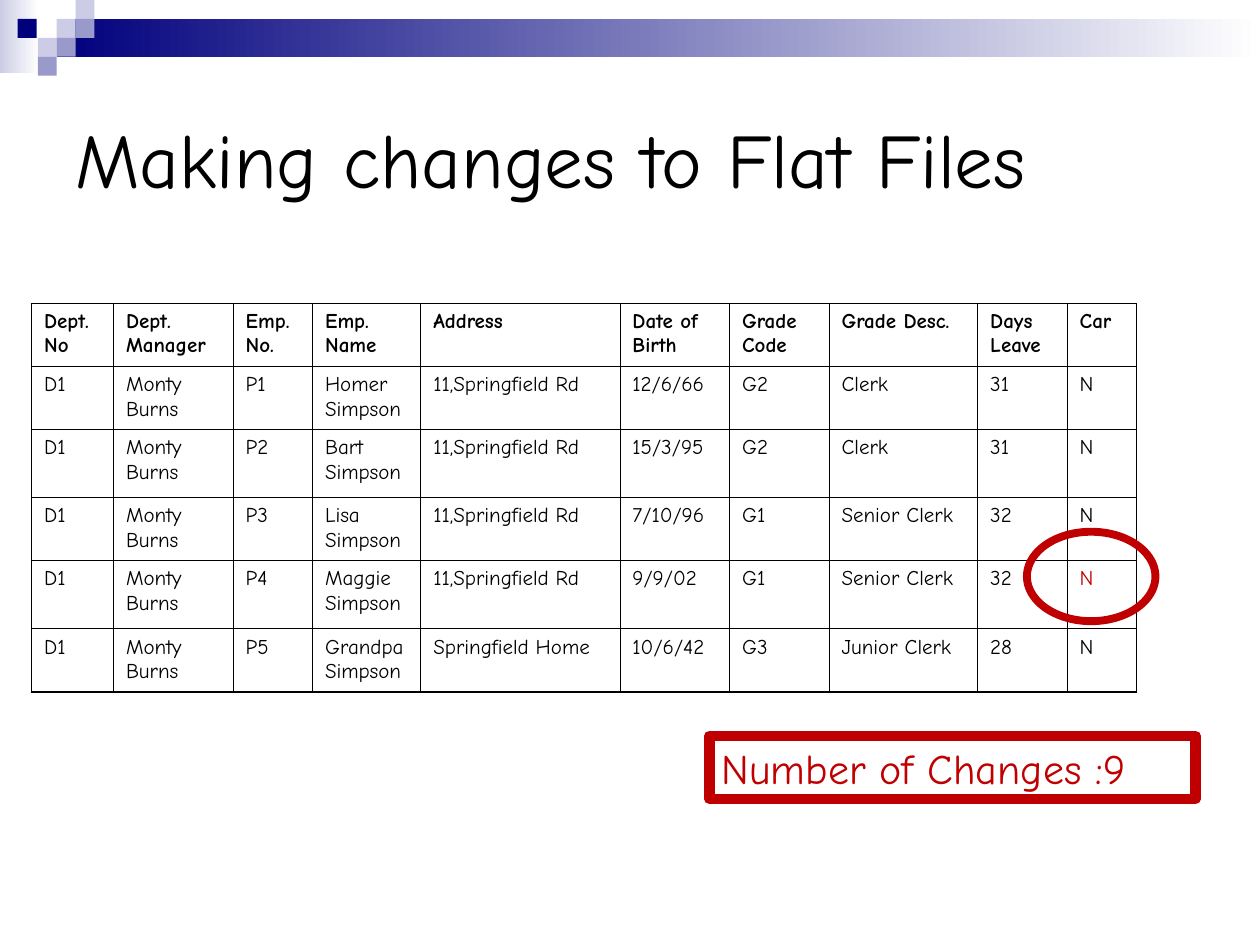
import pptx
import pptx.dml.color
import pptx.enum.shapes
import pptx.enum.text
import pptx.oxml.ns
import pptx.util
from lxml import etree

Inches = pptx.util.Inches
SHAPE = pptx.enum.shapes.MSO_SHAPE
FONT = "Comic Neue"
COLORS = {
    "black": "000000",
    "white": "FFFFFF",
    "navy": "00007D",
    "lavender": "9999CC",
    "pale": "CCCCE6",
    "red": "C00000",
}
UNIT = 0.15  # side of one decorative square

HEADERS = ["Dept.No", "Dept. Manager", "Emp. No.", "Emp. Name", "Address",
           "Date of Birth", "Grade Code", "Grade Desc.", "Days Leave", "Car"]
EMPLOYEES = [
    ["P1", "Homer Simpson", "11,Springfield Rd", "12/6/66", "G2", "Clerk", "31"],
    ["P2", "Bart Simpson", "11,Springfield Rd", "15/3/95", "G2", "Clerk", "31"],
    ["P3", "Lisa Simpson", "11,Springfield Rd", "7/10/96", "G1", "Senior Clerk", "32"],
    ["P4", "Maggie Simpson", "11,Springfield Rd", "9/9/02", "G1", "Senior Clerk", "32"],
    ["P5", "Grandpa Simpson", "Springfield Home", "10/6/42", "G3", "Junior Clerk", "28"],
]
COL_WIDTHS = [0.65, 0.95, 0.63, 0.86, 1.58, 0.87, 0.79, 1.18, 0.71, 0.55]
ROW_HEIGHTS = [0.5, 0.5, 0.54, 0.5, 0.54, 0.5]
CHANGED_CELL = (4, 9)


def rgb(name):
    return pptx.dml.color.RGBColor.from_string(COLORS[name])


def write(tf, text, size, color="black", bold=False):
    p = tf.paragraphs[0]
    p.text = text
    p.alignment = pptx.enum.text.PP_ALIGN.LEFT
    for r in p.runs:
        r.font.name = FONT
        r.font.size = pptx.util.Pt(size)
        r.font.bold = bold
        r.font.color.rgb = rgb(color)


def add_block(s, x, y, w, h, color, fade=False):
    sp = s.shapes.add_shape(SHAPE.RECTANGLE, Inches(x), Inches(y), Inches(w), Inches(h))
    sp.shadow.inherit = False
    sp.line.fill.background()
    if fade:
        sp.fill.gradient()
        sp.fill.gradient_angle = 0
        for stop, name in zip(sp.fill.gradient_stops, (color, "white")):
            stop.color.rgb = rgb(name)
    else:
        sp.fill.solid()
        sp.fill.fore_color.rgb = rgb(color)


def add_outline(s, kind, x, y, w, h, width):
    sp = s.shapes.add_shape(kind, Inches(x), Inches(y), Inches(w), Inches(h))
    sp.shadow.inherit = False
    sp.fill.background()
    sp.line.color.rgb = rgb("red")
    sp.line.width = pptx.util.Pt(width)
    return sp


def add_title(s, text):
    tf = s.shapes.add_textbox(Inches(0.5), Inches(0.5), Inches(9), Inches(1.5)).text_frame
    tf.word_wrap = True
    tf.vertical_anchor = pptx.enum.text.MSO_ANCHOR.MIDDLE
    write(tf, text, 44)


def set_border(cell, side, width):
    qn = pptx.oxml.ns.qn
    ln = etree.SubElement(cell._tc.get_or_add_tcPr(), qn("a:ln" + side),
                          w=str(pptx.util.Pt(width)))
    fill = etree.SubElement(ln, qn("a:solidFill"))
    etree.SubElement(fill, qn("a:srgbClr"), val=COLORS["black"])


def add_staff_table(s, x, y):
    rows = [HEADERS] + [["D1", "Monty Burns"] + e + ["N"] for e in EMPLOYEES]
    last_row, last_col = len(rows) - 1, len(HEADERS) - 1
    table = s.shapes.add_table(len(rows), len(HEADERS), Inches(x), Inches(y),
                               Inches(sum(COL_WIDTHS)), Inches(sum(ROW_HEIGHTS))).table
    table.first_row = table.horz_banding = False
    for column, width in zip(table.columns, COL_WIDTHS):
        column.width = Inches(width)
    for row, height in zip(table.rows, ROW_HEIGHTS):
        row.height = Inches(height)
    for i, values in enumerate(rows):
        for j, value in enumerate(values):
            cell = table.cell(i, j)
            color = "red" if (i, j) == CHANGED_CELL else "black"
            write(cell.text_frame, value, 12, color, bold=i == 0)
            # The outer frame is heavier than the inner grid
            outer = {"L": j == 0, "R": j == last_col, "T": i == 0, "B": i == last_row}
            for side, is_outer in outer.items():
                set_border(cell, side, 1.08 if is_outer else 0.45)
            cell.fill.background()


def add_banner(s):
    add_block(s, 0, 0, 0.31, 0.58, "pale", fade=True)
    add_block(s, 0.45, UNIT, 9.55, 2 * UNIT, "navy", fade=True)
    # Squares as (column, row) on the unit grid
    squares = [(3, 1, "pale"), (4, 0, "pale"), (4, 1, "lavender"), (2, 2, "pale"),
               (3, 2, "lavender"), (2, 3, "lavender")]
    for column, row, color in squares:
        add_block(s, column * UNIT, row * UNIT, UNIT, UNIT, color)
    add_block(s, 0.14, UNIT, UNIT, UNIT, "navy")


def add_callout(s, text):
    sp = add_outline(s, SHAPE.RECTANGLE, 5.63, 5.84, 3.86, 0.5, 6)
    tf = sp.text_frame
    tf.word_wrap = True
    tf.vertical_anchor = pptx.enum.text.MSO_ANCHOR.TOP
    write(tf, text, 24, "red")


def main():
    prs = pptx.Presentation()
    prs.slide_width, prs.slide_height = Inches(10), Inches(7.5)
    s = prs.slides.add_slide(prs.slide_layouts[6])

    # Banner and title
    add_banner(s)
    add_title(s, "Making changes to Flat Files")

    # Change count, staff table and the ring around the changed cell
    add_callout(s, "Number of Changes :9")
    add_staff_table(s, 0.25, 2.41)
    add_outline(s, SHAPE.OVAL, 8.15, 4.22, 1.02, 0.71, 4.5)

    prs.save("out.pptx")


if __name__ == "__main__":
    main()
